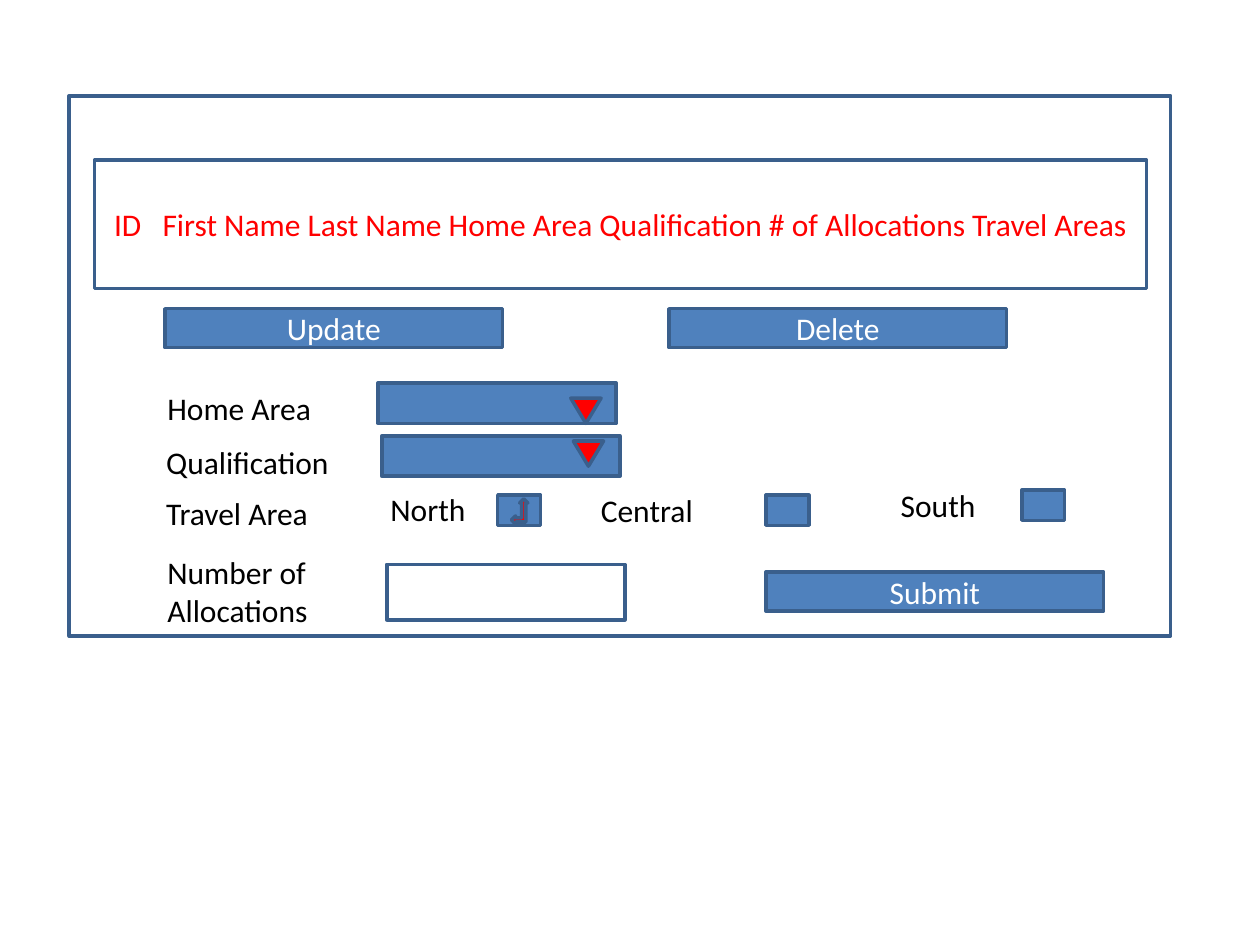
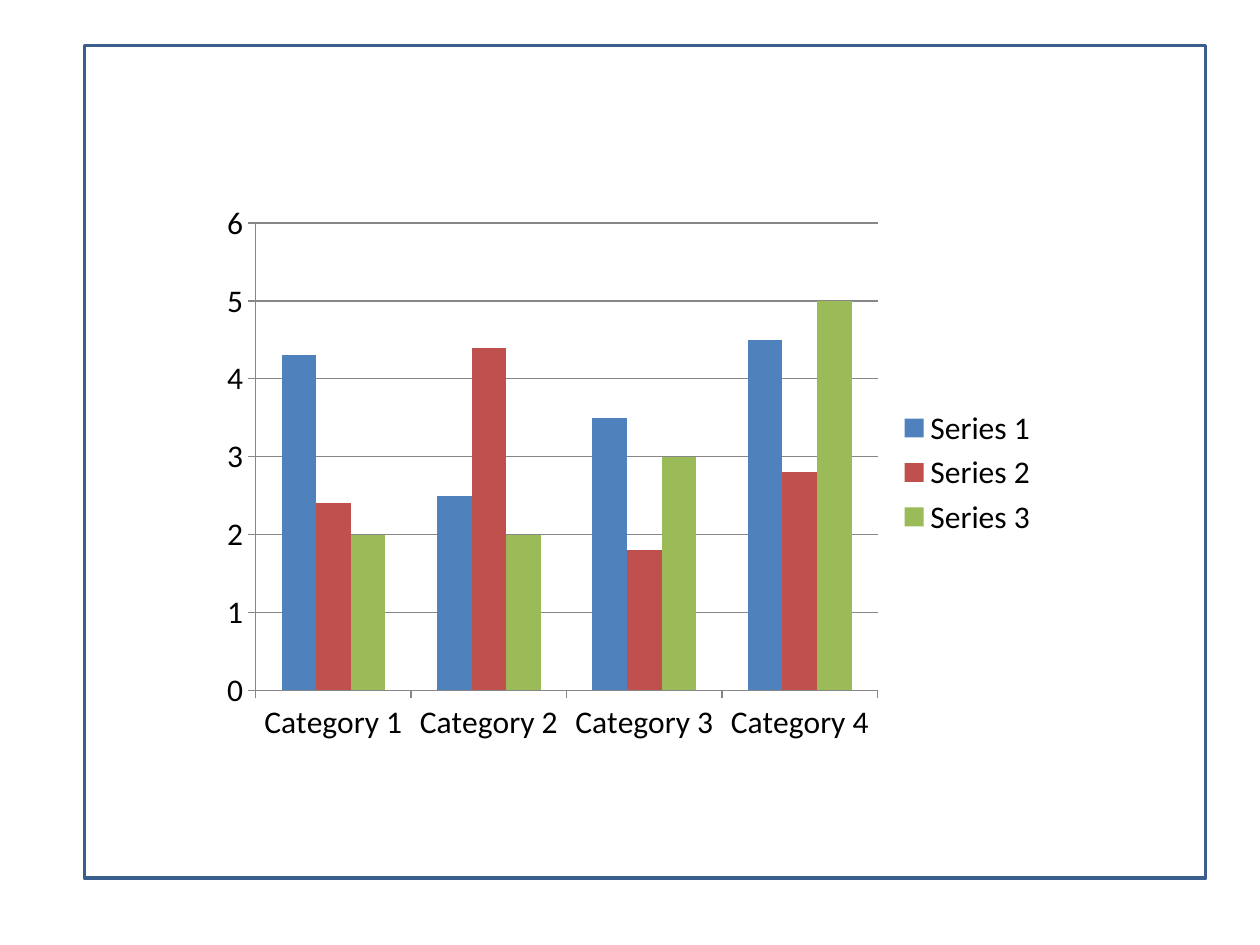
from dataclasses import dataclass

from pptx import Presentation
from pptx.chart.data import CategoryChartData
from pptx.dml.color import RGBColor
from pptx.enum.chart import XL_CHART_TYPE, XL_LEGEND_POSITION, XL_TICK_MARK
from pptx.enum.shapes import MSO_SHAPE
from pptx.enum.text import MSO_ANCHOR, MSO_AUTO_SIZE, PP_ALIGN
from pptx.util import Pt

PX = 9144  # 100 px to the inch


@dataclass(frozen=True)
class Theme:
    font: str = "Calibri"
    size: int = 18
    outline_width: int = 2
    white: RGBColor = RGBColor.from_string("FFFFFF")
    black: RGBColor = RGBColor.from_string("000000")
    red: RGBColor = RGBColor.from_string("FF0000")
    blue: RGBColor = RGBColor.from_string("4F81BD")
    brick: RGBColor = RGBColor.from_string("C0504D")
    green: RGBColor = RGBColor.from_string("9BBB59")
    outline: RGBColor = RGBColor.from_string("3A5F8C")
    grid: RGBColor = RGBColor.from_string("878787")


theme = Theme()


def add_box(page, *place, kind=MSO_SHAPE.RECTANGLE, fill=theme.white):
    """Add an outlined shape at left, top, width, height in px."""
    box = page.shapes.add_shape(kind, *(length * PX for length in place))
    box.shadow.inherit = False
    box.fill.solid()
    box.fill.fore_color.rgb = fill
    box.line.color.rgb = theme.outline
    box.line.width = Pt(theme.outline_width)
    return box


def write(box, text, color=theme.black, align=PP_ALIGN.LEFT,
          anchor=MSO_ANCHOR.TOP, grow=False, spacing=0):
    """Append a run to the box; spacing widens its characters, in points."""
    frame = box.text_frame
    frame.word_wrap = True
    frame.vertical_anchor = anchor
    if grow:
        frame.auto_size = MSO_AUTO_SIZE.SHAPE_TO_FIT_TEXT
    para = frame.paragraphs[0]
    para.alignment = align
    span = para.add_run()
    span.text = text
    span.font.name = theme.font
    span.font.size = Pt(theme.size)
    span.font.color.rgb = color
    if spacing:
        span._r.get_or_add_rPr().set("spc", str(spacing * 100))


deck = Presentation()
deck.slide_width, deck.slide_height = 1000 * PX, 750 * PX
blank = deck.slide_layouts[6]
centred = {"align": PP_ALIGN.CENTER, "anchor": MSO_ANCHOR.MIDDLE}

# Slide 1: form frame and record header
form = deck.slides.add_slide(blank)
add_box(form, 55, 76, 874, 429)
header = add_box(form, 75, 127, 835, 102)
write(header, "ID", color=theme.red, **centred)
write(header, " ", color=theme.red, spacing=8, **centred)
write(header, "First Name Last Name Home Area Qualification # of Allocations Travel Areas",
      color=theme.red, **centred)

# Buttons
for caption, left, top in [("Update", 131, 245), ("Delete", 531, 245), ("Submit", 608, 454)]:
    button = add_box(form, left, top, 268, 31, fill=theme.blue)
    write(button, caption, color=theme.white, **centred)

# Field and option labels
labels = [
    ("Home Area", 123, 304, 142, 40),
    ("Qualification", 122, 347, 157, 40),
    ("Travel Area", 122, 387, 142, 40),
    ("Number of Allocations", 123, 434, 205, 71),
    ("North", 300, 384, 142, 40),
    ("Central", 467, 385, 142, 40),
    ("South", 705, 381, 142, 40),
]
for caption, *place in labels:
    label = form.shapes.add_textbox(*(length * PX for length in place))
    write(label, caption, grow=True)

# Drop-down lists
for left, top, arrow_left, arrow_top in [(300, 304, 453, 316), (303, 346, 455, 350)]:
    add_box(form, left, top, 189, 32, fill=theme.blue)
    arrow = add_box(form, arrow_left, arrow_top, 24, 20,
                    kind=MSO_SHAPE.ISOSCELES_TRIANGLE, fill=theme.red)
    arrow.rotation = 180

# Check boxes, the first one ticked
for left, top in [(395, 393), (608, 393), (811, 389)]:
    add_box(form, left, top, 34, 24, fill=theme.blue)
add_box(form, 406, 396, 13, 20, kind=MSO_SHAPE.LEFT_UP_ARROW, fill=theme.red)

# Allocation count field
add_box(form, 307, 448, 189, 44)

# Slide 2: framed chart
report = deck.slides.add_slide(blank)
add_box(report, 67, 36, 890, 661)

series_values = [
    ("Series 1", (4.3, 2.5, 3.5, 4.5), theme.blue),
    ("Series 2", (2.4, 4.4, 1.8, 2.8), theme.brick),
    ("Series 3", (2, 2, 3, 5), theme.green),
]
data = CategoryChartData()
data.categories = [f"Category {number}" for number in range(1, 5)]
for name, values, _ in series_values:
    data.add_series(name, values)
chart = report.shapes.add_chart(
    XL_CHART_TYPE.COLUMN_CLUSTERED, 167 * PX, 153 * PX, 667 * PX, 444 * PX, data).chart

# Chart text, legend and columns
chart.has_title = False
chart.font.name = theme.font
chart.font.size = Pt(theme.size)
chart.font.color.rgb = theme.black
chart.has_legend = True
chart.legend.position = XL_LEGEND_POSITION.RIGHT
chart.legend.include_in_layout = False
plot = chart.plots[0]
plot.gap_width = 150
plot.overlap = 0
plot.vary_by_categories = False
for series, (_, _, color) in zip(plot.series, series_values):
    series.format.fill.solid()
    series.format.fill.fore_color.rgb = color

# Axes and gridlines
chart.value_axis.has_major_gridlines = True
for lines in (chart.category_axis, chart.value_axis, chart.value_axis.major_gridlines):
    lines.format.line.color.rgb = theme.grid
    lines.format.line.width = Pt(0.75)
for axis in (chart.category_axis, chart.value_axis):
    axis.major_tick_mark = XL_TICK_MARK.OUTSIDE
    axis.minor_tick_mark = XL_TICK_MARK.NONE

deck.save("out.pptx")
